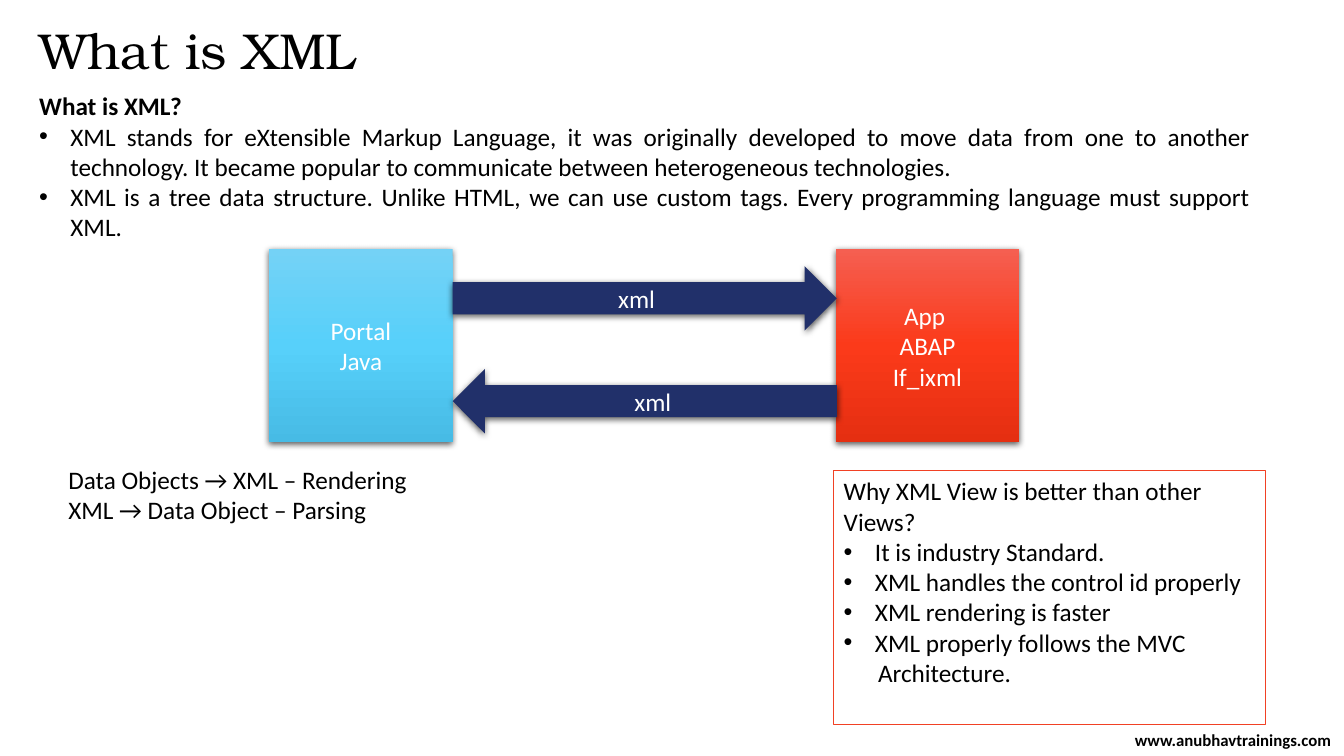
from dataclasses import dataclass

from lxml.etree import SubElement
from pptx import Presentation
from pptx.dml.color import RGBColor
from pptx.enum.shapes import MSO_SHAPE as Shape
from pptx.enum.text import MSO_ANCHOR as Anchor, PP_ALIGN as Align
from pptx.oxml.ns import qn
from pptx.util import Inches, Pt

WIDTH, HEIGHT = Inches(13.33), Inches(7.5)
INDENT = Inches(0.31)
BLOCK_LEFT, BLOCK_TOP, BLOCK_WIDTH, BLOCK_HEIGHT = 20.03, 32.93, 13.65, 25.6
ARROW_LEFT, ARROW_TOP, ARROW_WIDTH, ARROW_HEIGHT = 33.68, 35.2, 28.58, 8.53
ARROW_STEP = 13.6


@dataclass(frozen=True)
class Theme:
    """Colours, fonts and type sizes of the slide."""
    black: str = "000000"
    white: str = "FFFFFF"
    navy: str = "21306A"
    red: str = "F14124"
    portal: tuple = ("74D2F6", "57D0FA", "47BBE5")
    app: tuple = ("F55F51", "FB3A1A", "E52F11")
    heading_font: str = "TeX Gyre Bonum"
    body_font: str = "Calibri"
    title_size: int = 36
    body_size: int = 18
    footer_size: int = 12


THEME = Theme()


def place(left, top, width, height):
    """Turn percentages of the slide into a position and a size."""
    return (int(WIDTH * left / 100), int(HEIGHT * top / 100),
            int(WIDTH * width / 100), int(HEIGHT * height / 100))


def add_bullet(paragraph):
    """Give a paragraph a hanging bullet."""
    properties = paragraph._p.get_or_add_pPr()
    properties.set("marL", str(INDENT))
    properties.set("indent", str(-INDENT))
    SubElement(properties, qn("a:buFont")).set("typeface", "Arial")
    SubElement(properties, qn("a:buChar")).set("char", "•")


def write(shape, lines, size=THEME.body_size, font=THEME.body_font, color=THEME.black,
          align=Align.LEFT, anchor=Anchor.TOP, bold_lines=(), bullets=()):
    """Fill a shape with one paragraph per line and return the paragraphs."""
    frame = shape.text_frame
    frame.word_wrap = True
    frame.vertical_anchor = anchor
    for index, line in enumerate(lines):
        paragraph = frame.paragraphs[0] if index == 0 else frame.add_paragraph()
        paragraph.alignment = align
        if index in bullets:
            add_bullet(paragraph)
        run = paragraph.add_run()
        run.text = line
        run.font.name = font
        run.font.size = Pt(size)
        run.font.bold = index in bold_lines
        run.font.color.rgb = RGBColor.from_string(color)
    return frame.paragraphs


def add_text(slide, box, lines, **style):
    """Add a text box and return its paragraphs."""
    return write(slide.shapes.add_textbox(*place(*box)), lines, **style)


def add_shadow(shape):
    """Put a soft shadow below a shape."""
    shape.shadow.inherit = False
    effects = shape._element.spPr.find(qn("a:effectLst"))
    shadow = SubElement(effects, qn("a:outerShdw"), blurRad=str(Pt(4.5)),
                        dist=str(Pt(1.5)), dir="5400000", rotWithShape="0")
    color = SubElement(shadow, qn("a:srgbClr"), val=THEME.black)
    SubElement(color, qn("a:alpha"), val="63000")


def fill_gradient(shape, colors):
    """Fill a shape from top to bottom with evenly spaced colours."""
    shape.fill.gradient()
    shape.fill.gradient_angle = 270
    stops = shape._element.spPr.find(qn("a:gradFill")).find(qn("a:gsLst"))
    for stop in list(stops):
        stops.remove(stop)
    for index, color in enumerate(colors):
        position = 100000 * index // (len(colors) - 1)
        stop = SubElement(stops, qn("a:gs"), pos=str(position))
        SubElement(stop, qn("a:srgbClr"), val=color)


def fill_solid(shape, color):
    """Fill a shape with one colour."""
    shape.fill.solid()
    shape.fill.fore_color.rgb = RGBColor.from_string(color)


def add_label_shape(slide, kind, box, lines):
    """Add a shadowed shape without outline, with centred white text."""
    shape = slide.shapes.add_shape(kind, *place(*box))
    shape.line.fill.background()
    add_shadow(shape)
    write(shape, lines, color=THEME.white, align=Align.CENTER, anchor=Anchor.MIDDLE)
    return shape


def add_system(slide, left, colors, lines):
    """Add one of the two systems that exchange data."""
    box = (left, BLOCK_TOP, BLOCK_WIDTH, BLOCK_HEIGHT)
    fill_gradient(add_label_shape(slide, Shape.RECTANGLE, box, lines), colors)


def add_exchange(slide):
    """Draw both systems and the arrows between them."""
    add_system(slide, BLOCK_LEFT, THEME.portal, ["Portal", "Java"])
    add_system(slide, ARROW_LEFT + ARROW_WIDTH - 0.07, THEME.app, ["App ", "ABAP", "If_ixml"])
    for row, kind in enumerate((Shape.RIGHT_ARROW, Shape.LEFT_ARROW)):
        box = (ARROW_LEFT, ARROW_TOP + row * ARROW_STEP, ARROW_WIDTH, ARROW_HEIGHT)
        fill_solid(add_label_shape(slide, kind, box, ["xml"]), THEME.navy)


def add_reasons(slide):
    """Add the outlined box with the reasons for XML views."""
    shape = slide.shapes.add_shape(Shape.RECTANGLE, *place(62.04, 62.27, 32.11, 33.6))
    shape.shadow.inherit = False
    fill_solid(shape, THEME.white)
    shape.line.color.rgb = RGBColor.from_string(THEME.red)
    shape.line.width = Pt(1)
    paragraphs = write(shape, [
        "Why XML View is better than other Views?",
        "It is industry Standard.",
        "XML handles the control id properly",
        "XML rendering is faster",
        "XML properly follows the MVC",
        "Architecture.",
    ], bullets=range(1, 5))
    paragraphs[-1]._p.get_or_add_pPr().set("marL", str(Inches(0.34)))


def main():
    """Build the slide and save it."""
    presentation = Presentation()
    presentation.slide_width, presentation.slide_height = WIDTH, HEIGHT
    slide = presentation.slides.add_slide(presentation.slide_layouts[6])
    title = add_text(slide, (2.18, 2.8, 63.77, 8.67), ["What is XML"],
                     size=THEME.title_size, font=THEME.heading_font)
    title[0].line_spacing = 0.9
    add_text(slide, (2.18, 11.33, 91.6, 25.6), [
        "What is XML?",
        "XML stands for eXtensible Markup Language, it was originally developed to move data "
        "from one to another technology. It became popular to communicate between "
        "heterogeneous technologies.",
        "XML is a tree data structure. Unlike HTML, we can use custom tags. Every programming "
        "language must support XML.",
    ], align=Align.JUSTIFY, bold_lines=(0,), bullets=(1, 2))
    add_text(slide, (83.5, 96.8, 16.5, 2.13), ["www.anubhavtrainings.com"],
             size=THEME.footer_size, align=Align.CENTER, anchor=Anchor.MIDDLE, bold_lines=(0,))
    add_text(slide, (4.35, 60.8, 50.64, 9.47),
             ["Data Objects → XML – Rendering", "XML → Data Object – Parsing"])
    add_exchange(slide)
    add_reasons(slide)
    presentation.save("out.pptx")


if __name__ == "__main__":
    main()
